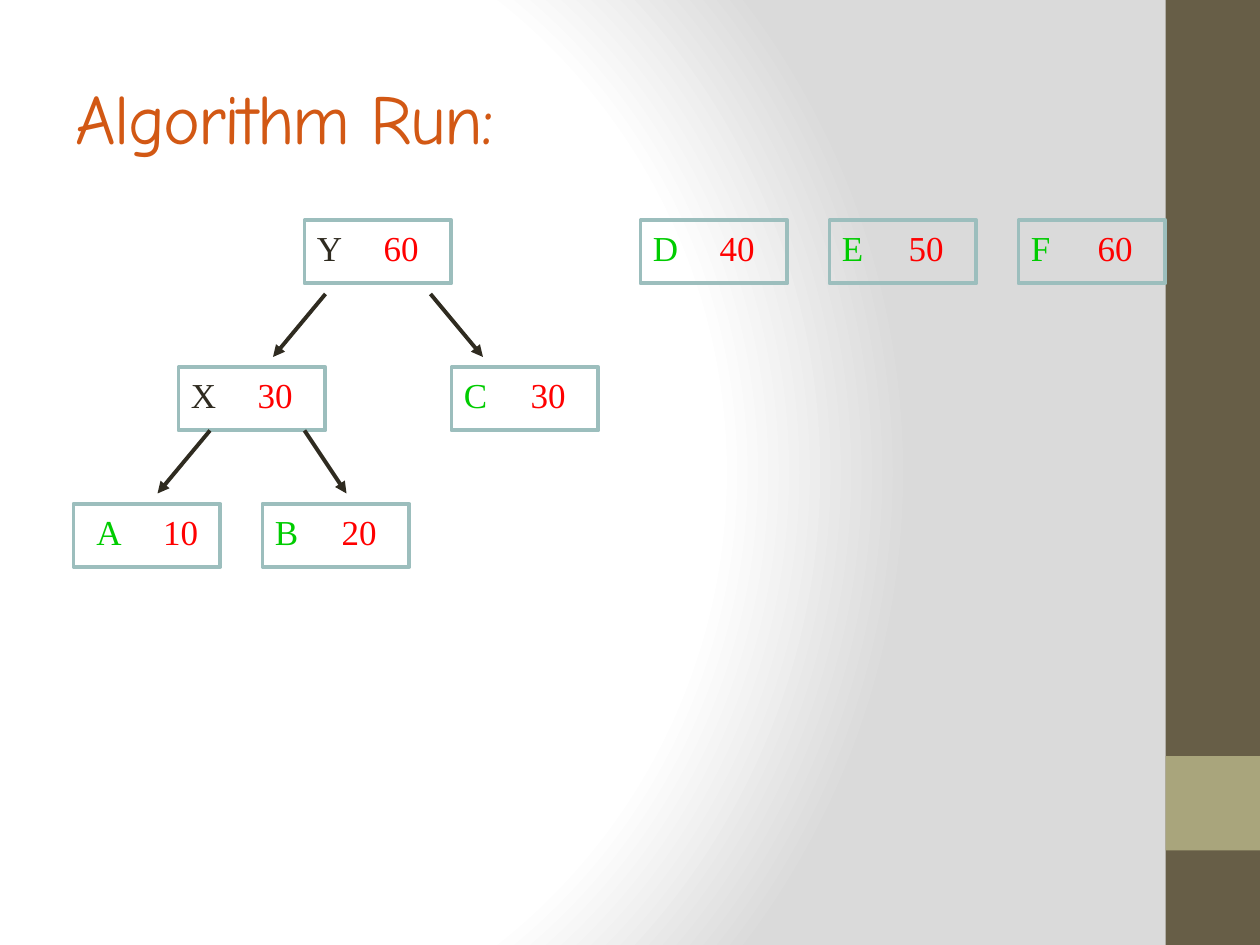
from dataclasses import dataclass

from lxml.etree import SubElement
from pptx import Presentation
from pptx.dml.color import RGBColor
from pptx.enum.shapes import MSO_CONNECTOR, MSO_SHAPE
from pptx.enum.text import MSO_ANCHOR, PP_ALIGN
from pptx.oxml.ns import qn
from pptx.slide import Slide
from pptx.text.text import Font
from pptx.util import Inches, Length, Pt


@dataclass(frozen=True)
class Theme:
    sidebar: str = "675E47"
    sidebar_accent: str = "A9A57C"
    title: str = "D25814"
    border: str = "9CBEBD"
    leaf: str = "00CC00"
    merged: str = "2F2B20"
    weight: str = "FF0000"
    title_font: str = "Comic Neue"
    node_font: str = "Times New Roman"
    title_size: int = 40
    node_size: int = 20
    stroke: float = 2.25


@dataclass(frozen=True)
class Node:
    symbol: str
    weight: int
    column: int
    row: int
    color: str
    indent: int = 0


@dataclass(frozen=True)
class Branch:
    start: tuple[int, int]
    end: tuple[int, int]


THEME = Theme()
GRID_STEPS = 12  # grid cells per inch
COLUMNS, ROWS = 120, 90
NODE_WIDTH, NODE_HEIGHT = 14, 6
LABEL_WIDTH, LABEL_HEIGHT = 13, 5.2
SIDEBAR_WIDTH = 9
WEIGHT_TAB = Inches(0.53)
ROOT_ROW, MIDDLE_ROW, LEAF_ROW = 21, 35, 48
LEAF_START, LEAF_PITCH = 7, 18

LEAF_ROWS = [LEAF_ROW, LEAF_ROW, MIDDLE_ROW, ROOT_ROW, ROOT_ROW, ROOT_ROW]
LEAF_WEIGHTS = [10, 20, 30, 40, 50, 60]
NODES = [
    Node(symbol, weight, LEAF_START + LEAF_PITCH * i, row, THEME.leaf,
         indent=1 if symbol == "A" else 0)
    for i, (symbol, weight, row) in enumerate(zip("ABCDEF", LEAF_WEIGHTS, LEAF_ROWS))
] + [
    Node("X", 30, 17, MIDDLE_ROW, THEME.merged),
    Node("Y", 60, 29, ROOT_ROW, THEME.merged),
]
BRANCHES = [
    Branch((20, 41), (15, 47)),
    Branch((29, 41), (33, 47)),
    Branch((31, 28), (26, 34)),
    Branch((41, 28), (46, 34)),
]


def grid(cells: float) -> Length:
    return Inches(cells / GRID_STEPS)


def rgb(color: str) -> RGBColor:
    return RGBColor.from_string(color)


def format_font(font: Font, name: str, size: float, color: str) -> None:
    for attribute, value in {"name": name, "size": Pt(size)}.items():
        setattr(font, attribute, value)
    font.color.rgb = rgb(color)


def paint_background(slide: Slide) -> None:
    """Fill with a circular gradient centred left of the middle."""
    slide.background.fill.gradient()
    gradient = slide.element.find(".//" + qn("a:gradFill"))
    for child in list(gradient):
        gradient.remove(child)
    stops = SubElement(gradient, qn("a:gsLst"))
    for percent, color in [(0, "FFFFFF"), (75, "FFFFFF"), (100, "DADADA")]:
        stop = SubElement(stops, qn("a:gs"), pos=str(percent * 1000))
        SubElement(stop, qn("a:srgbClr"), val=color)
    circle = SubElement(gradient, qn("a:path"), path="circle")
    SubElement(circle, qn("a:fillToRect"), l="20000", t="50000", r="100000", b="50000")


def add_box(slide: Slide, column: float, row: float, width: float, height: float,
            fill: str | None = None, border: str | None = None) -> None:
    box = slide.shapes.add_shape(
        MSO_SHAPE.RECTANGLE, *map(grid, (column, row, width, height)))
    box.shadow.inherit = False
    if fill:
        box.fill.solid()
        box.fill.fore_color.rgb = rgb(fill)
    else:
        box.fill.background()
    if border:
        box.line.color.rgb = rgb(border)
        box.line.width = Pt(THEME.stroke)
    else:
        box.line.fill.background()


def set_title(slide: Slide, wording: str) -> None:
    title = slide.shapes.title
    place = {"left": Inches(0.5), "top": Inches(0.3),
             "width": Inches(8.33), "height": Inches(1.25)}
    for attribute, value in place.items():
        setattr(title, attribute, value)
    title.text_frame.vertical_anchor = MSO_ANCHOR.MIDDLE
    paragraph = title.text_frame.paragraphs[0]
    paragraph.alignment = PP_ALIGN.LEFT
    run = paragraph.add_run()
    run.text = wording
    format_font(run.font, THEME.title_font, THEME.title_size, THEME.title)
    run.font._element.set("spc", "-100")


def add_node(slide: Slide, node: Node) -> None:
    add_box(slide, node.column, node.row, NODE_WIDTH, NODE_HEIGHT, border=THEME.border)
    label = slide.shapes.add_textbox(
        *map(grid, (node.column + node.indent, node.row, LABEL_WIDTH, LABEL_HEIGHT)))
    label.text_frame.word_wrap = True
    paragraph = label.text_frame.paragraphs[0]
    tabs = SubElement(paragraph._p.get_or_add_pPr(), qn("a:tabLst"))
    SubElement(tabs, qn("a:tab"), pos=str(WEIGHT_TAB), algn="l")
    for wording, color in [(f"{node.symbol}\t", node.color),
                           (str(node.weight), THEME.weight)]:
        run = paragraph.add_run()
        run.text = wording
        format_font(run.font, THEME.node_font, THEME.node_size, color)


def add_branch(slide: Slide, branch: Branch) -> None:
    arrow = slide.shapes.add_connector(
        MSO_CONNECTOR.STRAIGHT, *map(grid, branch.start + branch.end))
    arrow.line.color.rgb = rgb(THEME.merged)
    arrow.line.width = Pt(THEME.stroke)
    SubElement(arrow.line._get_or_add_ln(), qn("a:tailEnd"), type="triangle")
    SubElement(arrow._element.spPr, qn("a:effectLst"))


def main() -> None:
    presentation = Presentation()
    presentation.slide_width = grid(COLUMNS)
    presentation.slide_height = grid(ROWS)
    title_only = presentation.slide_layouts.get_by_name("Title Only")
    slide = presentation.slides.add_slide(title_only)

    paint_background(slide)
    sidebar_column = COLUMNS - SIDEBAR_WIDTH
    add_box(slide, sidebar_column, 0, SIDEBAR_WIDTH, ROWS, fill=THEME.sidebar)
    add_box(slide, sidebar_column, ROWS - 2 * SIDEBAR_WIDTH,
            SIDEBAR_WIDTH, SIDEBAR_WIDTH, fill=THEME.sidebar_accent)
    set_title(slide, "Algorithm Run:")
    for node in NODES:
        add_node(slide, node)
    for branch in BRANCHES:
        add_branch(slide, branch)
    presentation.save("out.pptx")


if __name__ == "__main__":
    main()
